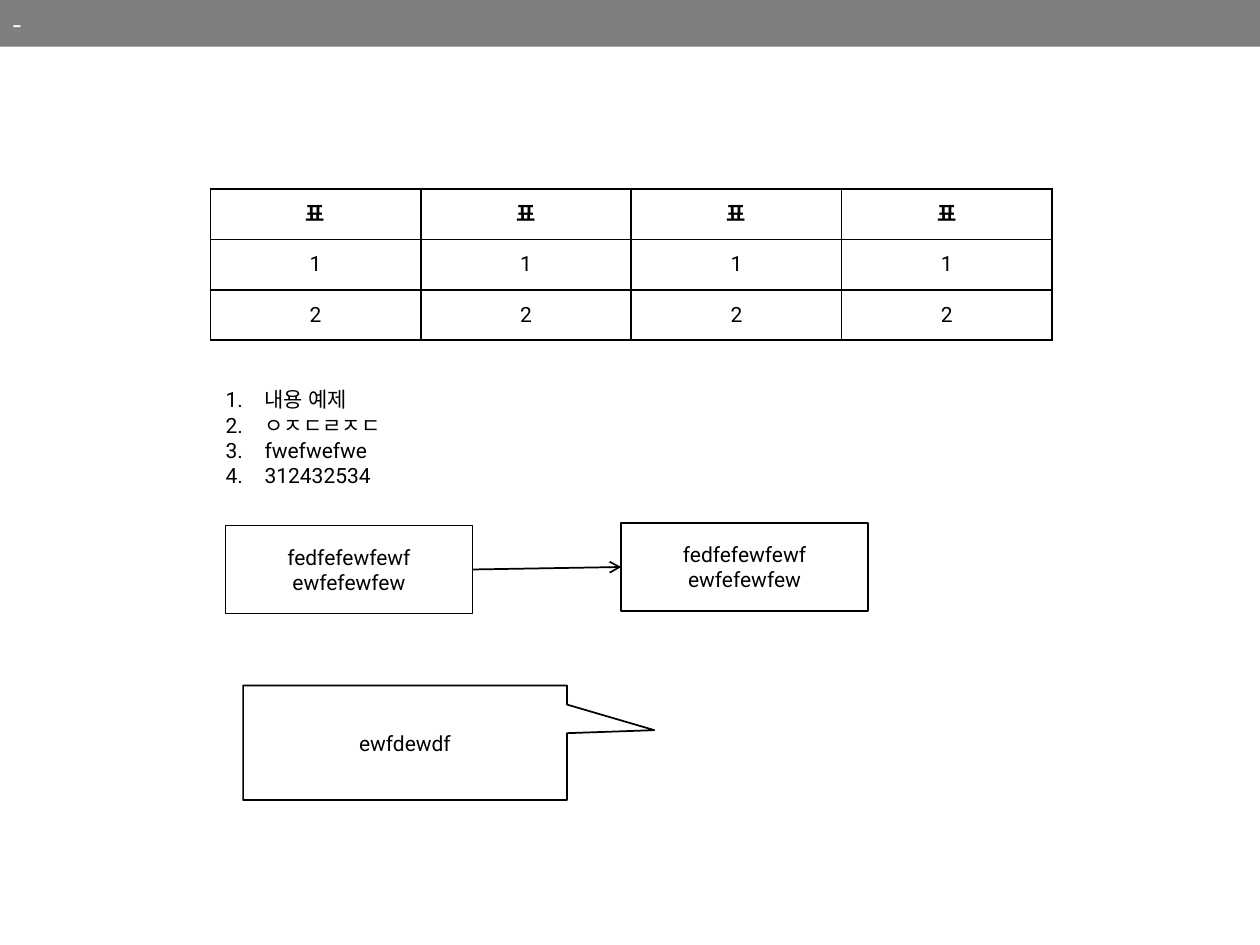
from lxml.etree import SubElement
from pptx import Presentation
from pptx.dml.color import RGBColor
from pptx.enum.shapes import MSO_CONNECTOR, MSO_SHAPE
from pptx.enum.text import MSO_ANCHOR, MSO_AUTO_SIZE, PP_ALIGN
from pptx.oxml.ns import qn
from pptx.util import Inches, Pt

COLORS = {"ink": "000000", "paper": "FFFFFF"}
BODY_FONT, TITLE_FONT = "Roboto", "Noto Sans CJK KR"
TITLE = "-"
TABLE_ROWS = [["표"] * 4, ["1"] * 4, ["2"] * 4]
LIST_ITEMS = ["내용 예제", "ㅇㅈㄷㄹㅈㄷ", "fwefwefwe", "312432534"]
BOX_TEXT = "fedfefewfewf\newfefewfew"
BOX_PLACES = [(1.79, 4.17), (4.93, 4.15)]
CALLOUT_TEXT = "ewfdewdf"
COLUMN_WIDTH, ROW_HEIGHT = 1.67, 0.4


def color(name):
    return RGBColor.from_string(COLORS[name])


def place(shape, left, top, width, height):
    shape.left, shape.top = Inches(left), Inches(top)
    shape.width, shape.height = Inches(width), Inches(height)


def write(frame, text, align=PP_ALIGN.CENTER, size=12, font=BODY_FONT, ink="ink", bold=False):
    frame.text = text
    frame.word_wrap = True
    for paragraph in frame.paragraphs:
        paragraph.alignment = align
        paragraph.space_before = Pt(0)
        for run in paragraph.runs:
            run.font.size, run.font.bold, run.font.name = Pt(size), bold, font
            run.font.color.rgb = color(ink)
            SubElement(run.font._element, qn("a:ea"), typeface=font)


def add_title(slide):
    title = slide.shapes.title
    place(title, 0, 0, 10, 0.37)
    title.fill.solid()
    title.fill.fore_color.rgb = color("ink")
    fill_color = title._element.spPr.find(".//" + qn("a:srgbClr"))
    SubElement(fill_color, qn("a:alpha"), val="50000")
    write(title.text_frame, TITLE, PP_ALIGN.LEFT, 16, TITLE_FONT, "paper")
    title.text_frame.auto_size = MSO_AUTO_SIZE.NONE
    title.text_frame.vertical_anchor = MSO_ANCHOR.MIDDLE


def add_list(slide):
    body = slide.placeholders[1]
    place(body, 1.69, 3.02, 6.59, 0.9)
    write(body.text_frame, "\n".join(LIST_ITEMS), PP_ALIGN.LEFT)
    body.text_frame.auto_size = MSO_AUTO_SIZE.NONE
    for paragraph in body.text_frame.paragraphs:
        properties = paragraph._p.get_or_add_pPr()
        properties.set("marL", str(Inches(0.31)))
        properties.set("indent", str(-Inches(0.31)))
        SubElement(properties, qn("a:buFont"), typeface=BODY_FONT)
        SubElement(properties, qn("a:buAutoNum"), type="arabicPeriod")


def add_borders(cell):
    properties = cell._tc.get_or_add_tcPr()
    for index, side in enumerate(("lnL", "lnR", "lnT", "lnB")):
        line = properties.makeelement(qn("a:" + side), {"w": str(Pt(1))})
        fill = SubElement(line, qn("a:solidFill"))
        SubElement(fill, qn("a:srgbClr"), val=COLORS["ink"])
        properties.insert(index, line)


def add_grid(slide):
    row_count, column_count = len(TABLE_ROWS), len(TABLE_ROWS[0])
    table = slide.shapes.add_table(
        row_count, column_count, Inches(1.67), Inches(1.5),
        Inches(COLUMN_WIDTH * column_count), Inches(ROW_HEIGHT * row_count)).table
    for row_index, values in enumerate(TABLE_ROWS):
        for column_index, value in enumerate(values):
            cell = table.cell(row_index, column_index)
            write(cell.text_frame, value, bold=row_index == 0)
            cell.vertical_anchor = MSO_ANCHOR.MIDDLE
            cell.fill.solid()
            cell.fill.fore_color.rgb = color("paper")
            add_borders(cell)


def add_outlined(slide, kind, text, left, top, width, height):
    shape = slide.shapes.add_shape(
        kind, Inches(left), Inches(top), Inches(width), Inches(height))
    shape.shadow.inherit = False
    shape.fill.solid()
    shape.fill.fore_color.rgb = color("paper")
    shape.line.color.rgb = color("ink")
    shape.line.width = Pt(1)
    write(shape.text_frame, text)
    shape.text_frame.vertical_anchor = MSO_ANCHOR.MIDDLE
    return shape


def add_arrow(slide, source, target):
    arrow = slide.shapes.add_connector(MSO_CONNECTOR.STRAIGHT, 0, 0, 0, 0)
    arrow.begin_connect(source, 3)
    arrow.end_connect(target, 1)
    arrow.line.color.rgb = color("ink")
    arrow.line.width = Pt(1)
    SubElement(arrow.line._get_or_add_ln(), qn("a:tailEnd"), type="arrow")
    SubElement(arrow._element.spPr, qn("a:effectLst"))


def main():
    """Build the slide with a table, a numbered list, linked boxes and a callout."""
    presentation = Presentation()
    presentation.slide_width, presentation.slide_height = Inches(10), Inches(7.5)
    slide = presentation.slides.add_slide(presentation.slide_layouts[1])
    add_title(slide)
    add_grid(slide)
    add_list(slide)
    boxes = [add_outlined(slide, MSO_SHAPE.RECTANGLE, BOX_TEXT, left, top, 1.96, 0.7)
             for left, top in BOX_PLACES]
    add_arrow(slide, *boxes)
    callout = add_outlined(
        slide, MSO_SHAPE.RECTANGULAR_CALLOUT, CALLOUT_TEXT, 1.93, 5.44, 2.57, 0.91)
    callout.adjustments[0], callout.adjustments[1] = 0.77, -0.11
    presentation.save("out.pptx")


if __name__ == "__main__":
    main()
